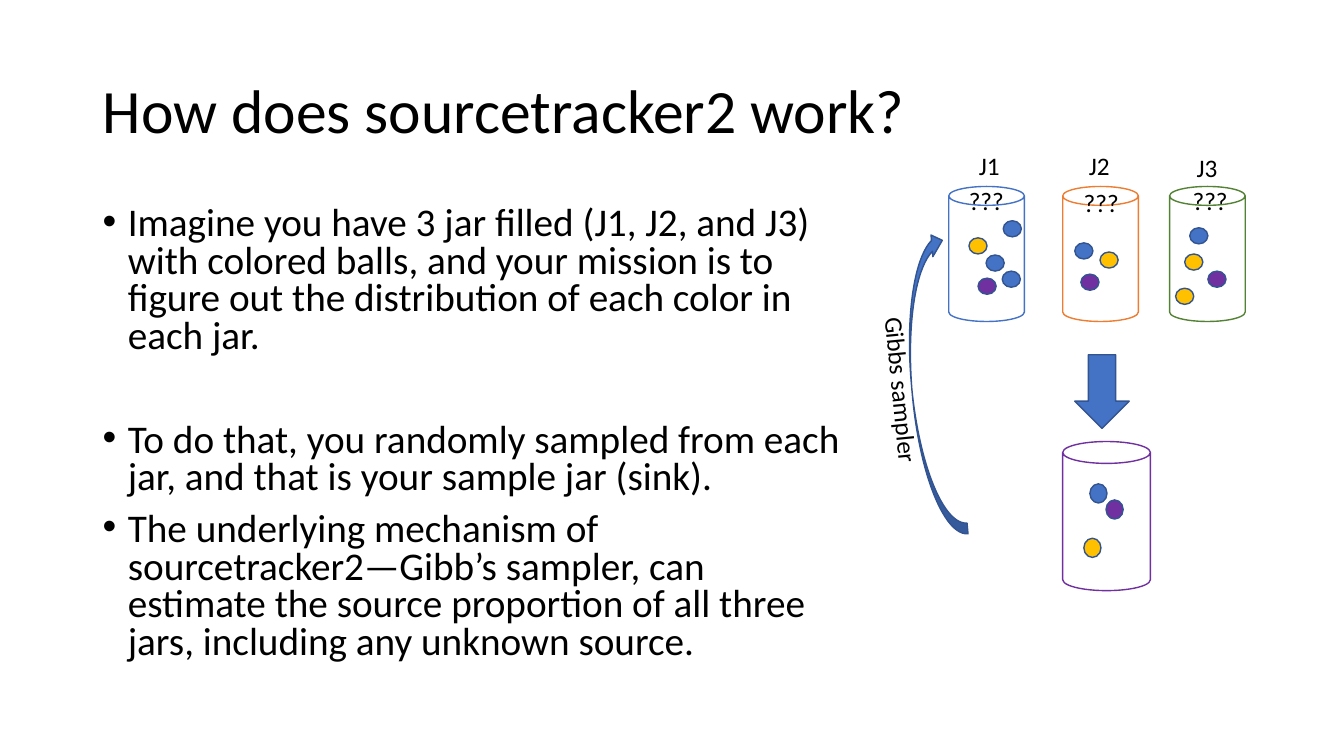
"""Build a slide explaining how sourcetracker2 estimates the contents of three jars."""
from dataclasses import dataclass

from lxml import etree
from pptx import Presentation
from pptx import util as u
from pptx.dml.color import RGBColor
from pptx.enum import shapes, text
from pptx.oxml.ns import qn


@dataclass(frozen=True)
class Theme:
    font: str = "Calibri"
    title_size: int = 44
    body_size: int = 28
    label_size: int = 18
    ink: str = "000000"
    blue: str = "4472C4"
    orange: str = "ED7D31"
    green: str = "548235"
    yellow: str = "FFC000"
    purple: str = "7030A0"
    outline: str = "325491"


def write(paragraph, wording, *, font, size, color, spacing=1.0, before=0, bullet=False):
    paragraph.alignment = text.PP_ALIGN.LEFT
    paragraph.line_spacing = spacing
    paragraph.space_before = u.Pt(before)
    run = paragraph.add_run()
    run.text = wording
    run.font.name = font
    run.font.size = u.Pt(size)
    run.font.color.rgb = RGBColor.from_string(color)
    if bullet:
        properties = paragraph._p.get_or_add_pPr()
        properties.set("marL", str(u.Inches(0.25)))
        properties.set("indent", str(u.Inches(-0.25)))
        etree.SubElement(properties, qn("a:buFont")).set("typeface", "Arial")
        etree.SubElement(properties, qn("a:buChar")).set("char", "•")


class JarSlide:
    def __init__(self, deck, theme):
        self.theme = theme
        self.slide = deck.slides.add_slide(deck.slide_layouts[5])

    def title(self, wording, box):
        heading = self.slide.shapes.title
        heading.left, heading.top, heading.width, heading.height = map(u.Inches, box)
        frame = heading.text_frame
        frame.auto_size = text.MSO_AUTO_SIZE.NONE
        frame.vertical_anchor = text.MSO_ANCHOR.MIDDLE
        write(frame.paragraphs[0], wording, font=self.theme.font,
              size=self.theme.title_size, color=self.theme.ink, spacing=0.9)

    def bullets(self, points, box):
        frame = self.slide.shapes.add_textbox(*map(u.Inches, box)).text_frame
        frame.word_wrap = True
        for index, (wording, before) in enumerate(points):
            paragraph = frame.add_paragraph() if index else frame.paragraphs[0]
            write(paragraph, wording, font=self.theme.font, size=self.theme.body_size,
                  color=self.theme.ink, spacing=0.8, before=before, bullet=True)

    def label(self, wording, box, rotation=0):
        caption = self.slide.shapes.add_textbox(*map(u.Inches, box))
        caption.rotation = rotation
        caption.text_frame.word_wrap = False
        caption.text_frame.auto_size = text.MSO_AUTO_SIZE.SHAPE_TO_FIT_TEXT
        write(caption.text_frame.paragraphs[0], wording, font=self.theme.font,
              size=self.theme.label_size, color=self.theme.ink)

    def shape(self, kind, box, line, fill=None, rotation=0):
        figure = self.slide.shapes.add_shape(kind, *map(u.Inches, box))
        figure.shadow.inherit = False
        figure.rotation = rotation
        figure.line.color.rgb = RGBColor.from_string(line)
        figure.line.width = u.Pt(1)
        if fill:
            figure.fill.solid()
            figure.fill.fore_color.rgb = RGBColor.from_string(fill)
        else:
            figure.fill.background()

    def jar(self, box, line, balls, ball_size):
        self.shape(shapes.MSO_SHAPE.CAN, box, line)
        for left, top, color in balls:
            self.shape(shapes.MSO_SHAPE.OVAL, (left, top, *ball_size),
                       self.theme.outline, color)

    def arrow(self, kind, box, rotation=0):
        self.shape(kind, box, self.theme.outline, self.theme.blue, rotation)


def main():
    deck = Presentation()
    deck.slide_width, deck.slide_height = u.Inches(13.33), u.Inches(7.5)
    theme = Theme()
    page = JarSlide(deck, theme)
    blue, yellow, purple = theme.blue, theme.yellow, theme.purple

    page.title("How does sourcetracker2 work?", (0.92, 0.4, 11.5, 1.45))
    page.bullets([
        ("Imagine you have 3 jar filled (J1, J2, and J3) with colored balls, and your "
         "mission is to figure out the distribution of each color in each jar.", 10),
        ("To do that, you randomly sampled from each jar, and that is your sample jar "
         "(sink).", 47),
        ("The underlying mechanism of sourcetracker2—Gibb’s sampler, can estimate the "
         "source proportion of all three jars, including any unknown source.", 10),
    ], (0.92, 2, 7.53, 4.76))

    sources = [
        ("J1", 9.41, theme.blue, (9.61, 1.44), (9.51, 1.79),
         [(9.61, 2.36, yellow), (9.78, 2.53, blue), (9.7, 2.76, purple),
          (9.95, 2.19, blue), (9.94, 2.69, blue)]),
        ("J2", 10.54, theme.orange, (10.7, 1.44), (10.65, 1.81),
         [(10.66, 2.41, blue), (10.72, 2.72, purple), (10.91, 2.5, yellow)]),
        ("J3", 11.6, theme.green, (11.77, 1.46), (11.73, 1.79),
         [(11.8, 2.26, blue), (11.98, 2.69, purple), (11.66, 2.86, yellow),
          (11.75, 2.52, yellow)]),
    ]
    for name, left, line, name_at, unknown_at, balls in sources:
        page.jar((left, 1.85, 0.75, 1.34), line, balls, (0.18, 0.16))
        page.label(name, (*name_at, 0.41, 0.4))
        page.label("???", (*unknown_at, 0.55, 0.4))

    page.arrow(shapes.MSO_SHAPE.DOWN_ARROW, (10.66, 3.52, 0.54, 0.73))
    sink_balls = [(10.81, 4.8, blue), (10.97, 4.96, purple), (10.75, 5.34, yellow)]
    page.jar((10.54, 4.38, 0.87, 1.48), purple, sink_balls, (0.17, 0.19))

    page.arrow(shapes.MSO_SHAPE.CURVED_DOWN_ARROW, (7.74, 3.59, 3.03, 0.43), 265)
    page.label("Gibbs sampler", (8.11, 3.68, 1.67, 0.4), 84.4)
    deck.save("out.pptx")


if __name__ == "__main__":
    main()
